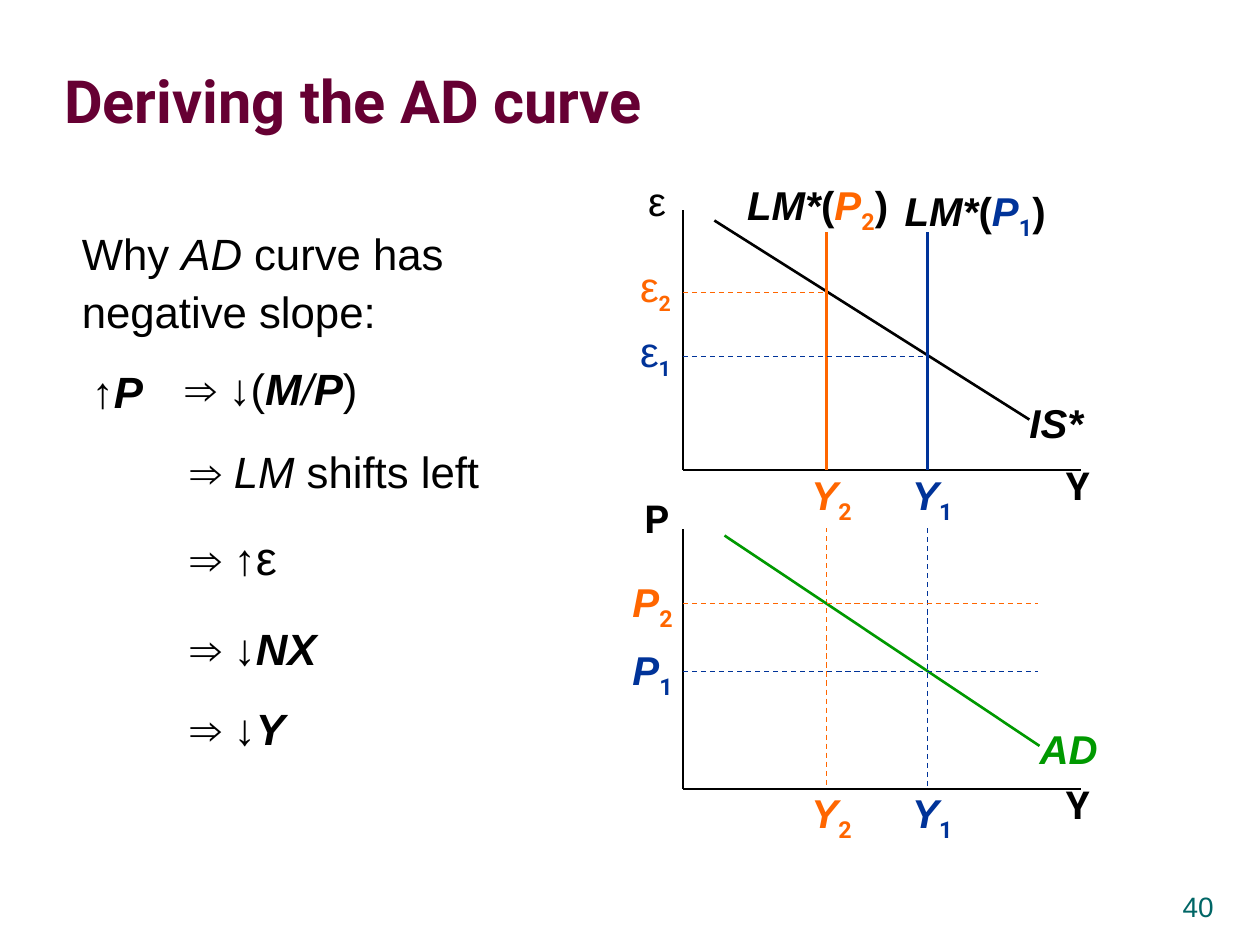
import lxml.etree
import pptx
import pptx.dml.color
import pptx.enum.dml
import pptx.enum.shapes
import pptx.enum.text
import pptx.oxml.ns
import pptx.util

Inches = pptx.util.Inches
Pt = pptx.util.Pt
RGBColor = pptx.dml.color.RGBColor
ALIGN = pptx.enum.text.PP_ALIGN
qn = pptx.oxml.ns.qn

BLACK = RGBColor(0x00, 0x00, 0x00)
WHITE = RGBColor(0xFF, 0xFF, 0xFF)
MAROON = RGBColor(0x66, 0x00, 0x33)
TEAL = RGBColor(0x00, 0x66, 0x66)
BLUE = RGBColor(0x00, 0x33, 0x99)
ORANGE = RGBColor(0xFF, 0x66, 0x00)
GREEN = RGBColor(0x00, 0x99, 0x00)

# Run styles
BOLD = {"bold": True}
ITALIC = {"italic": True}
BOLD_ITALIC = {"bold": True, "italic": True}
SUBSCRIPT = {"bold": True, "name": "Roboto", "baseline": -25000}

AXIS_WIDTH, AXIS_HEIGHT = 3.16, 2.06
LEVELS = (("2", ORANGE, 1.14), ("1", BLUE, 1.94))  # subscript, colour, output


def add_text(slide, box, runs, size=23, color=BLACK, font="Arial", align=ALIGN.LEFT,
             inset=0, line_spacing=None, tab=None, fill=None, wrap=True):
    """Add a text box; runs are (text, style) pairs that vary the paragraph font."""
    shape = slide.shapes.add_textbox(*(Inches(value) for value in box))
    if fill is not None:
        shape.fill.solid()
        shape.fill.fore_color.rgb = fill
    frame = shape.text_frame
    frame.word_wrap = wrap
    frame.margin_left = frame.margin_right = Inches(inset)
    frame.margin_top = frame.margin_bottom = 0
    paragraph = frame.paragraphs[0]
    paragraph.alignment = align
    if line_spacing:
        paragraph.line_spacing = line_spacing
    if tab:
        tab_list = lxml.etree.SubElement(paragraph._p.get_or_add_pPr(), qn("a:tabLst"))
        lxml.etree.SubElement(tab_list, qn("a:tab"), pos=str(Inches(tab)), algn="l")
    paragraph.font.size = Pt(size)
    paragraph.font.name = font
    paragraph.font.color.rgb = color
    for text, style in runs:
        run = paragraph.add_run()
        run.text = text
        for name, value in style.items():
            if name == "baseline":
                run._r.get_or_add_rPr().set("baseline", str(value))
            elif name == "color":
                run.font.color.rgb = value
            else:
                setattr(run.font, name, value)


def add_line(slide, start, end, color=BLACK, width=1.5, dashed=False):
    line = slide.shapes.add_connector(
        pptx.enum.shapes.MSO_CONNECTOR.STRAIGHT,
        *(Inches(value) for value in (*start, *end)))
    line.line.color.rgb = color
    line.line.width = Pt(width)
    if dashed:
        line.line.dash_style = pptx.enum.dml.MSO_LINE.DASH
    lxml.etree.SubElement(line._element.spPr, qn("a:effectLst"))


def add_title(slide, left, top, width, height):
    title = slide.shapes.title
    title.left, title.top = Inches(left), Inches(top)
    title.width, title.height = Inches(width), Inches(height)
    frame = title.text_frame
    frame.margin_left = frame.margin_right = frame.margin_top = frame.margin_bottom = 0
    frame.vertical_anchor = pptx.enum.text.MSO_ANCHOR.MIDDLE
    frame.text = "Deriving the AD curve"
    paragraph = frame.paragraphs[0]
    paragraph.alignment = ALIGN.LEFT
    paragraph.line_spacing = 1.05
    paragraph.font.size = Pt(34)
    paragraph.font.name = "Roboto"
    paragraph.font.bold = True
    paragraph.font.color.rgb = MAROON


def add_argument(slide, left, top):
    """Place the question and the chain of implications below it."""
    style = {"size": 25, "line_spacing": 1.1, "inset": 0.04}
    add_text(slide, (left, top, 3.6, 0.94),
             [("Why ", {}), ("AD", ITALIC), (" curve has negative slope:", {})], **style)
    add_text(slide, (left + 0.08, top + 1.09, 0.76, 0.56),
             [("↑", {}), ("P", BOLD_ITALIC)], **style)
    add_text(slide, (left + 0.82, top + 1.07, 1.85, 0.56),
             [("⇒ ↓(", {}), ("M", BOLD_ITALIC), ("/", ITALIC), ("P", BOLD_ITALIC),
              (")", {})], **style)
    steps = (
        (1.73, [("\t⇒ ", {}), ("LM", ITALIC), (" shifts left", {})]),
        (2.39, [("\t⇒ ↑", {}), ("ε", {"size": Pt(27)})]),
        (3.13, [("\t⇒ ↓", {}), ("NX", BOLD_ITALIC)]),
        (3.77, [("\t⇒ ↓", {}), ("Y", BOLD_ITALIC)]),
    )
    for offset, runs in steps:
        add_text(slide, (left + 0.12, top + offset, 3.35, 0.56), runs, tab=0.74, **style)


def add_output_guides(slide, left, top, bottom):
    """Draw the dashed verticals that join the two diagrams."""
    for (_, color, output), start in zip(LEVELS, (top + 0.65, top + 1.16)):
        add_line(slide, (left + output, start), (left + output, bottom), color, 0.75, True)


def add_axes(slide, left, top, vertical_name, vertical_style, label_fill=None):
    """Draw the axes with their names and the two output labels."""
    bottom = top + AXIS_HEIGHT
    for subscript, color, output in LEVELS:
        add_text(slide, (left + output - 0.12, bottom, 0.43, 0.46),
                 [("Y", BOLD_ITALIC), (subscript, SUBSCRIPT)], color=color, fill=label_fill)
    add_line(slide, (left, top), (left, bottom), width=1)
    add_line(slide, (left, bottom), (left + AXIS_WIDTH, bottom), width=1)
    add_text(slide, (left + 3, top + 2, 0.6, 0.5), [("Y", BOLD)],
             size=22, font="Roboto", inset=0.04)
    add_text(slide, (left - 0.42, top - 0.27, 0.43, 0.5), [(vertical_name, {})
             if not vertical_style else (vertical_name, vertical_style)],
             align=ALIGN.CENTER, inset=0.04)


def add_curve(slide, start, end, name, color):
    add_line(slide, start, end, color)
    add_text(slide, (end[0], end[1] - 0.17, 0.51, 0.36), [(name, BOLD_ITALIC)], color=color)


def add_exchange_rate_diagram(slide, left, top):
    add_axes(slide, left, top, "ε", {}, label_fill=WHITE)
    add_curve(slide, (left + 0.25, top + 0.08), (left + 2.75, top + 1.66), "IS*", BLACK)
    positions = ((0.65, 0.51, -0.24), (1.16, 1.76, -0.19))
    for (subscript, color, output), (rate, name_left, name_top) in zip(LEVELS, positions):
        add_text(slide, (left + name_left, top + name_top, 1.2, 0.46),
                 [("LM*", BOLD_ITALIC), ("(", BOLD),
                  ("P", {**BOLD_ITALIC, "color": color}),
                  (subscript, {**SUBSCRIPT, "color": color}), (")", BOLD)])
        add_line(slide, (left + output, top + AXIS_HEIGHT), (left + output, top + 0.17), color)
        add_line(slide, (left, top + rate), (left + output, top + rate), color, 0.75, True)
        add_text(slide, (left - 0.34, top + rate - 0.25, 0.43, 0.46),
                 [("ε", {}), (subscript, {**SUBSCRIPT, "size": Pt(21)})],
                 size=24, color=color)


def add_price_diagram(slide, left, top):
    add_axes(slide, left, top, "P", {"bold": True, "name": "Roboto", "size": Pt(22)})
    add_curve(slide, (left + 0.33, top + 0.05), (left + 2.83, top + 1.72), "AD", GREEN)
    for (subscript, color, _), price in zip(LEVELS, (0.59, 1.13)):
        add_line(slide, (left, top + price), (left + 2.82, top + price), color, 0.75, True)
        add_text(slide, (left - 0.4, top + price - 0.21, 0.43, 0.46),
                 [("P", BOLD_ITALIC), (subscript, SUBSCRIPT)], color=color)


def main():
    presentation = pptx.Presentation()
    presentation.slide_width, presentation.slide_height = Inches(10), Inches(7.5)
    slide = presentation.slides.add_slide(presentation.slide_layouts[5])
    diagram_left, upper_top, lower_top = 5.42, 1.67, 4.2
    add_title(slide, 0.51, 0.19, 9.02, 1.17)
    add_output_guides(slide, diagram_left, upper_top, lower_top + AXIS_HEIGHT)
    add_exchange_rate_diagram(slide, diagram_left, upper_top)
    add_price_diagram(slide, diagram_left, lower_top)
    add_argument(slide, 0.61, 1.76)
    add_text(slide, (9.38, 7.06, 0.26, 0.24), [("40", {})], size=16, color=TEAL,
             align=ALIGN.CENTER, wrap=False)
    presentation.save("out.pptx")


if __name__ == "__main__":
    main()
